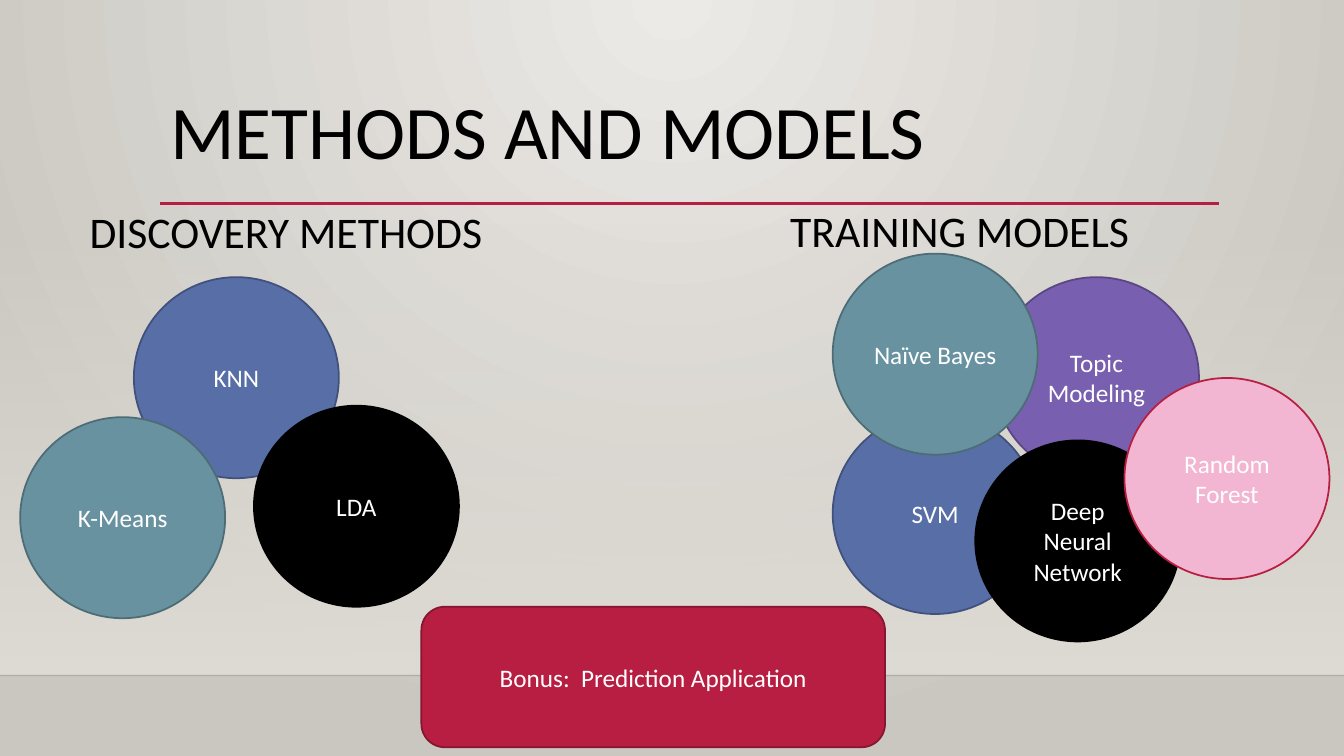
from lxml import etree
from pptx import Presentation
from pptx.dml.color import RGBColor
from pptx.enum import shapes, text
from pptx.oxml.ns import qn
from pptx.util import Pt


def tint(code):
    return RGBColor.from_string(code)


class Deck:
    font = "Calibri"
    edge = 1.25

    def __init__(self, wide, high):
        self.file = Presentation()
        self.file.slide_width, self.file.slide_height = Pt(wide), Pt(high)
        self.slide = self.file.slides.add_slide(self.file.slide_layouts[5])

    def fade(self, fill, root, first, last):
        fill.gradient()
        for stop, code in zip(fill.gradient_stops, (first, last)):
            stop.color.rgb = tint(code)
        return next(root.iter(qn("a:gradFill")))

    def clear(self, node, amount):
        code = next(node.iter(qn("a:srgbClr")))
        etree.SubElement(code, qn("a:alpha"), val=str(amount * 1000))

    def backdrop(self, inner, outer):
        grad = self.fade(self.slide.background.fill, self.slide.element, inner, outer)
        grad.remove(grad.find(qn("a:lin")))
        round = etree.SubElement(grad, qn("a:path"), {"path": "circle"})
        etree.SubElement(round, qn("a:fillToRect"), l="43000", t="0", r="43000", b="100000")

    def haze(self, x, y, w, h, code):
        band = self.slide.shapes.add_shape(
            shapes.MSO_SHAPE.RECTANGLE, Pt(x), Pt(y), Pt(w), Pt(h))
        band.shadow.inherit = False
        band.line.fill.background()
        grad = self.fade(band.fill, band.element, code, code)
        band.fill.gradient_angle = 270
        self.clear(grad, 0)

    def rule(self, x, y, end, code, width, alpha=100):
        line = self.slide.shapes.add_connector(
            shapes.MSO_CONNECTOR.STRAIGHT, Pt(x), Pt(y), Pt(end), Pt(y))
        line.line.color.rgb = tint(code)
        line.line.width = Pt(width)
        if alpha < 100:
            self.clear(line.element, alpha)
        etree.SubElement(line.element.spPr, qn("a:effectLst"))

    def label(self, frame, words, size, code, align, anchor):
        frame.word_wrap = True
        frame.auto_size = text.MSO_AUTO_SIZE.NONE
        frame.vertical_anchor = anchor
        para = frame.paragraphs[0]
        para.alignment = align
        run = para.add_run()
        run.text = words
        run.font.name, run.font.size = self.font, Pt(size)
        run.font.color.rgb = tint(code)
        return para

    def lead(self, box, words, size):
        para = self.label(box.text_frame, words, size, "000000",
                          text.PP_ALIGN.LEFT, text.MSO_ANCHOR.TOP)
        para.line_spacing = 0.9

    def title(self, x, y, w, h, words, size):
        box = self.slide.shapes.title
        box.left, box.top, box.width, box.height = Pt(x), Pt(y), Pt(w), Pt(h)
        box.element.getparent().append(box.element)
        self.lead(box, words, size)

    def head(self, x, y, w, h, words, size):
        self.lead(self.slide.shapes.add_textbox(Pt(x), Pt(y), Pt(w), Pt(h)), words, size)

    def block(self, kind, x, y, w, h, words, fill, line):
        item = self.slide.shapes.add_shape(kind, Pt(x), Pt(y), Pt(w), Pt(h))
        item.shadow.inherit = False
        item.fill.solid()
        item.fill.fore_color.rgb = tint(fill)
        item.line.color.rgb = tint(line)
        item.line.width = Pt(self.edge)
        self.label(item.text_frame, words, 18, "FFFFFF",
                   text.PP_ALIGN.CENTER, text.MSO_ANCHOR.MIDDLE)

    def disc(self, x, y, words, fill, line):
        self.block(shapes.MSO_SHAPE.OVAL, x, y, 146.4, 143.6, words, fill, line)


def main():
    blue, teal = ("586EA6", "41517B"), ("6892A0", "4D6C76")
    black, plum = ("000000", "000000"), ("795FAF", "5A4681")
    pink, red = ("F2B5D2", "B71E42"), ("B71E42", "871631")

    deck = Deck(960, 540)
    deck.backdrop("ECEAE7", "CAC7C1")
    deck.haze(0, 159, 960, 323.5, "DFDBD5")
    deck.rule(0, 482.5, 960, "000001", 1, 20)
    deck.rule(114.5, 145.2, 871, "B71E42", 2.5)
    deck.title(114.5, 63.4, 756, 82.8, "METHODS AND MODELS", 54)

    for x, y, words, hue in (
        (95.6, 198, "KNN", blue),
        (14.4, 298, "K-Means", teal),
        (594.8, 295, "SVM", blue),
        (181.4, 289.8, "LDA", black),
        (710, 198, "Topic Modeling", plum),
        (594.8, 181.2, "Naïve Bayes", teal),
        (696.6, 314.6, "Deep Neural Network", black),
    ):
        deck.disc(x, y, words, *hue)

    deck.head(56.9, 146.9, 329.8, 82.8, "DISCOVERY METHODS", 31.2)
    deck.head(557.3, 146.2, 329.8, 82.8, "TRAINING MODELS", 31.2)
    deck.disc(803.2, 270, "Random Forest", *pink)
    deck.block(shapes.MSO_SHAPE.ROUNDED_RECTANGLE, 301, 433.4, 331.2, 100.4,
               "Bonus:  Prediction Application", *red)
    deck.file.save("out.pptx")


if __name__ == "__main__":
    main()
